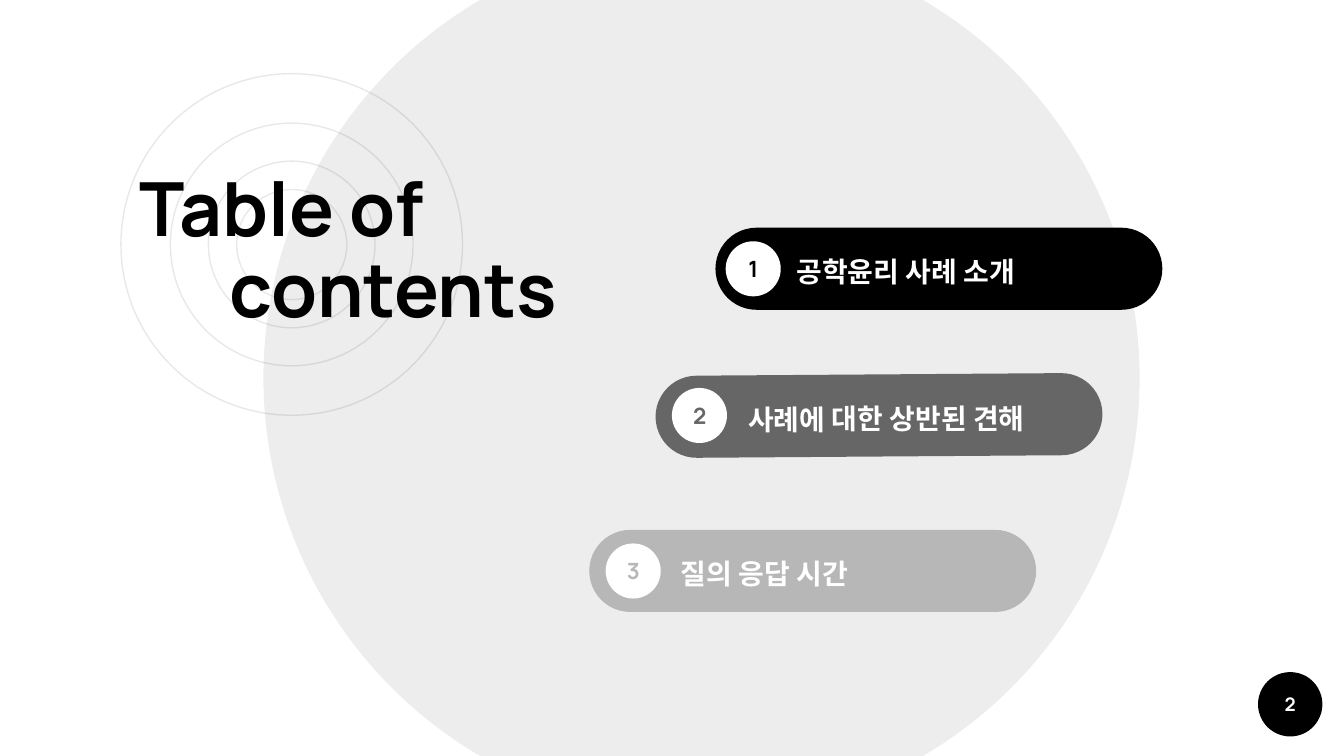
from lxml import etree
from pptx import Presentation
from pptx.dml.color import RGBColor
from pptx.enum.shapes import MSO_SHAPE
from pptx.enum.text import MSO_ANCHOR, PP_ALIGN
from pptx.oxml.ns import qn
from pptx.util import Pt

OVAL, PILL = MSO_SHAPE.OVAL, MSO_SHAPE.ROUNDED_RECTANGLE
TOP, MIDDLE = MSO_ANCHOR.TOP, MSO_ANCHOR.MIDDLE
LEFT, CENTER = PP_ALIGN.LEFT, PP_ALIGN.CENTER

LATIN, KOREAN = "Manrope", "Noto Sans CJK KR"
BLACK, WHITE, RING_GRAY = "000000", "FFFFFF", "E8E8E8"
INSET = 7.2

TITLE = [("Table of", 0), ("contents", 48)]
TITLE_BOX = (67.7, 85, 370.8, 54)
PAGE_NUMBER = "2"
PAGE_CENTER, PAGE_SIZE = (691.2, 377.3), 34.5
RING_CENTER, RING_SIZES = (156.3, 131), [183, 130, 89.3, 59]
DISC_CENTER, DISC_SIZE, DISC_ALPHA = (375.8, 202.5), 469.4, 7
ITEMS = [
    {"text": " 공학윤리 사례 소개", "color": BLACK, "bar": (503, 144),
     "badge_x": 403.5, "text_left": 416.2, "tilt": 0},
    {"text": " 사례에 대한 상반된 견해", "color": "666666", "bar": (470.9, 222.6),
     "badge_x": 374.7, "text_left": 390.2, "tilt": -0.4},
    {"text": " 질의 응답 시간", "color": "B7B7B7", "bar": (435.4, 305.9),
     "badge_x": 339.2, "text_left": 354.2, "tilt": 0},
]
BAR_WIDTH, BAR_HEIGHT = 239.4, 44
BADGE_SIZE = 29.5
LABEL_WIDTH, LABEL_HEIGHT = 184, 31


def color_of(hex_string):
    return RGBColor.from_string(hex_string)


def apply(target, values):
    for name, value in values.items():
        setattr(target, name, value)


def add_centered(slide, kind, center, width, height, fill=None, line=None):
    left, top = center[0] - width / 2, center[1] - height / 2
    shape = slide.shapes.add_shape(kind, Pt(left), Pt(top), Pt(width), Pt(height))
    shape.shadow.inherit = False
    if fill:
        shape.fill.solid()
        shape.fill.fore_color.rgb = color_of(fill)
    else:
        shape.fill.background()
    if line:
        shape.line.color.rgb = color_of(line)
        shape.line.width = Pt(0.75)
    else:
        shape.line.fill.background()
    return shape


def format_frame(frame, anchor, wrap=True):
    margins = {f"margin_{side}": Pt(INSET) for side in ("left", "right", "top", "bottom")}
    apply(frame, {"word_wrap": wrap, "vertical_anchor": anchor, **margins})


def write(paragraph, text, font, size, color, alignment, spacing=1.0):
    apply(paragraph, {"alignment": alignment, "line_spacing": spacing})
    run = paragraph.add_run()
    run.text = text
    apply(run.font, {"name": font, "size": Pt(size), "bold": True})
    run.font.color.rgb = color_of(color)
    east_asian = etree.SubElement(run.font._element, qn("a:ea"))
    east_asian.set("typeface", font)


def add_circle_number(slide, center, size, number, font_size, fill, color):
    circle = add_centered(slide, OVAL, center, size, size, fill)
    format_frame(circle.text_frame, MIDDLE)
    write(circle.text_frame.paragraphs[0], number, LATIN, font_size, color, CENTER)
    return circle


def add_background(slide):
    for size in RING_SIZES:
        add_centered(slide, OVAL, RING_CENTER, size, size, line=RING_GRAY)
    disc = add_centered(slide, OVAL, DISC_CENTER, DISC_SIZE, DISC_SIZE, BLACK)
    fill_color = disc._element.spPr.find(qn("a:solidFill"))[0]
    etree.SubElement(fill_color, qn("a:alpha")).set("val", str(DISC_ALPHA * 1000))


def add_title(slide):
    title = slide.shapes.title
    slide.shapes._spTree.append(title._element)
    left, top, width, height = TITLE_BOX
    apply(title, {"left": Pt(left), "top": Pt(top), "width": Pt(width), "height": Pt(height)})
    frame = title.text_frame
    format_frame(frame, TOP)
    for index, (text, indent) in enumerate(TITLE):
        paragraph = frame.add_paragraph() if index else frame.paragraphs[0]
        write(paragraph, text, LATIN, 40, BLACK, LEFT, 0.9)
        paragraph.space_before = Pt(0)
        paragraph._p.get_or_add_pPr().set("marL", str(Pt(indent)))


def add_item(slide, number, item):
    middle = item["bar"][1]
    bar = add_centered(slide, PILL, item["bar"], BAR_WIDTH, BAR_HEIGHT, item["color"])
    bar.adjustments[0] = 0.5
    badge = add_circle_number(slide, (item["badge_x"], middle), BADGE_SIZE,
                              str(number), 12, WHITE, item["color"])
    label = slide.shapes.add_textbox(Pt(item["text_left"]), Pt(middle - LABEL_HEIGHT / 2),
                                     Pt(LABEL_WIDTH), Pt(LABEL_HEIGHT))
    format_frame(label.text_frame, MIDDLE)
    write(label.text_frame.paragraphs[0], item["text"], KOREAN, 15, WHITE, LEFT, 1.15)
    for shape in (bar, badge, label):
        shape.rotation = item["tilt"]


def main():
    presentation = Presentation()
    apply(presentation, {"slide_width": Pt(720), "slide_height": Pt(405)})
    slide = presentation.slides.add_slide(presentation.slide_layouts[5])
    add_background(slide)
    add_circle_number(slide, PAGE_CENTER, PAGE_SIZE, PAGE_NUMBER, 10, BLACK, WHITE)
    add_title(slide)
    for number, item in enumerate(ITEMS, 1):
        add_item(slide, number, item)
    presentation.save("out.pptx")


if __name__ == "__main__":
    main()
